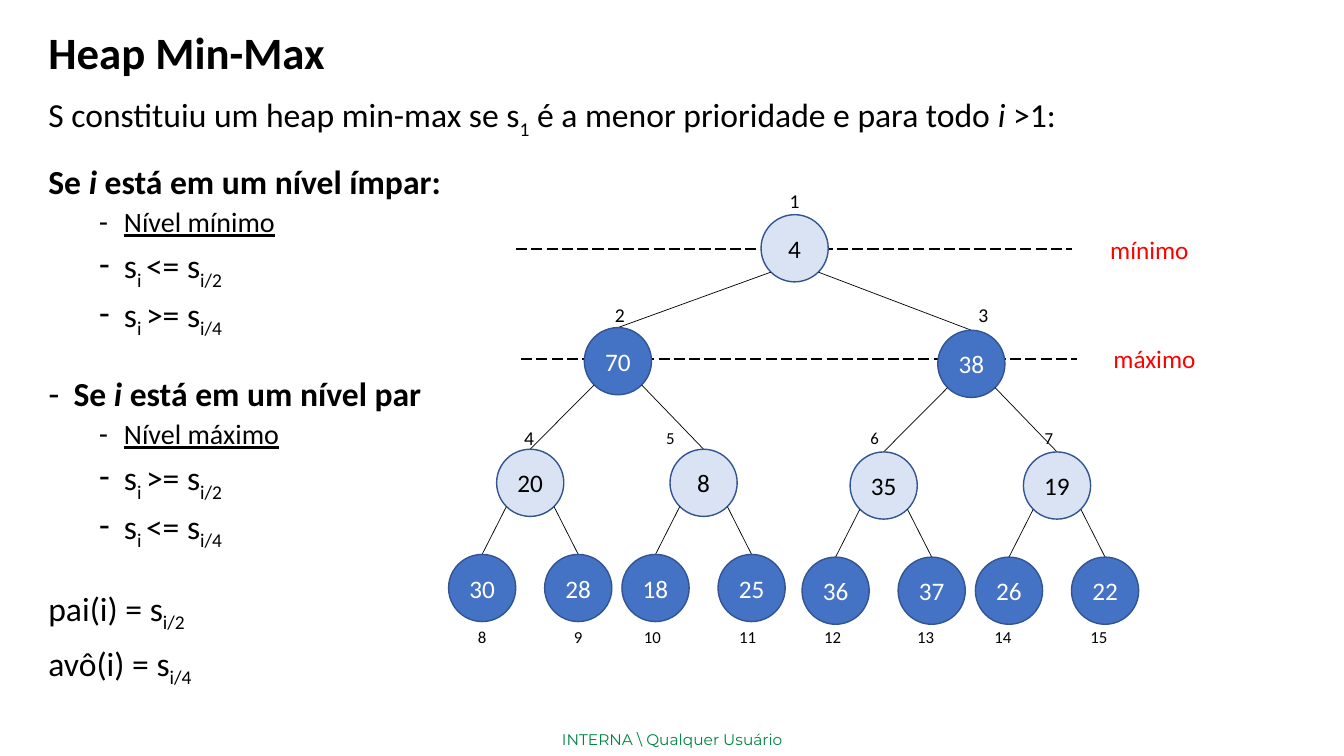
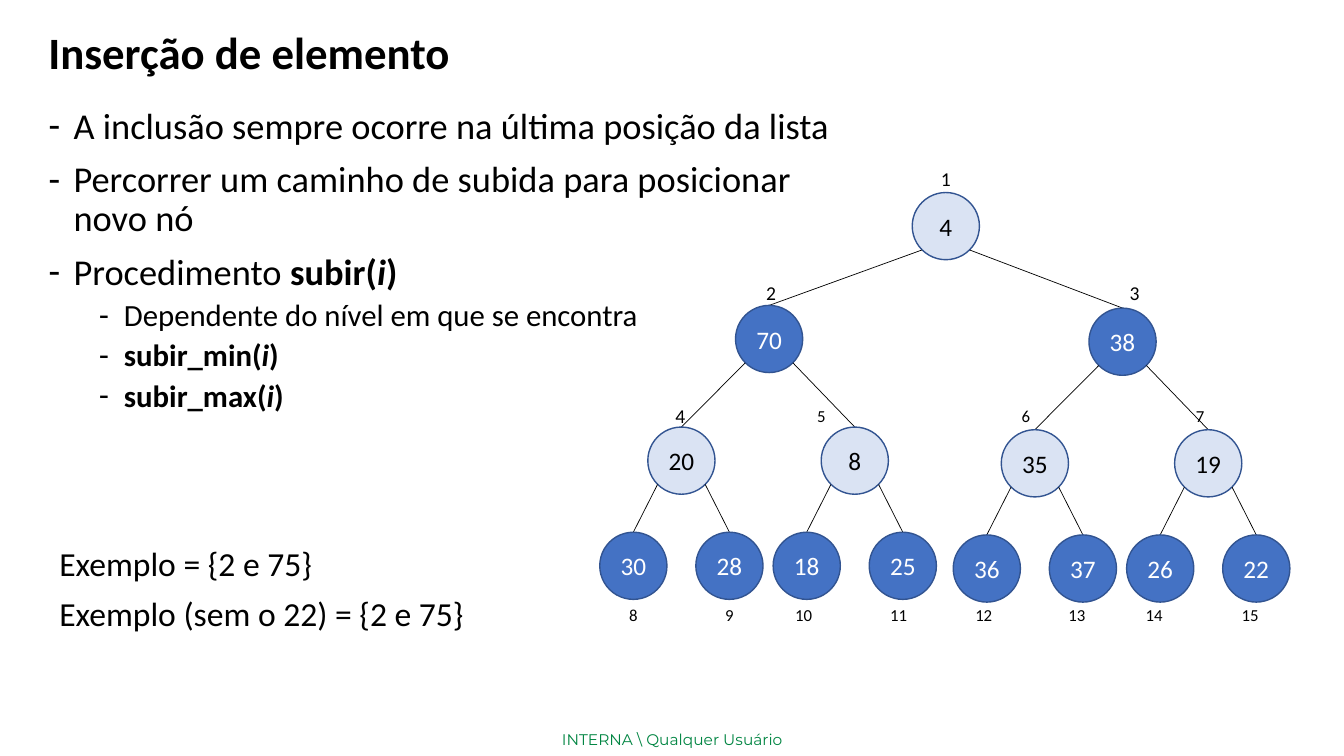
"""Two slides about the min-max heap, laid out on a grid of 40 columns by 22.5 rows."""
import dataclasses

import lxml.etree
import pptx
import pptx.dml.color
import pptx.enum.dml
import pptx.enum.shapes
import pptx.enum.text
import pptx.oxml.ns
import pptx.util

CELL = pptx.util.Emu(304800)
COLUMNS, ROWS = 40, 22.5
ALIGN = pptx.enum.text.PP_ALIGN
ANCHOR = pptx.enum.text.MSO_ANCHOR
DASH = pptx.enum.dml.MSO_LINE.LONG_DASH


@dataclasses.dataclass(frozen=True)
class Theme:
    font: str = "Calibri"
    footer_font: str = "Montserrat"
    ink: str = "000000"
    paper: str = "FFFFFF"
    footer: str = "008542"
    min_fill: str = "DAE3F3"
    max_fill: str = "4472C4"
    outline: str = "325491"
    accent: str = "FF0000"
    title_size: int = 32
    lead_size: int = 26
    text_size: int = 24
    detail_size: int = 22
    note_size: int = 20
    node_size: int = 18
    index_size: int = 14
    small_size: int = 12
    footer_size: int = 11


THEME = Theme()
INDENTS = {"plain": (0, 0, 0), "dash": (0, 0.75, -0.75), "sub": (1, 2.25, -0.75)}
TITLE_AREA = (1.14, 0.78, 37.7, 2.64)
FOOTER_AREA = (15.9, 21.5, 8.22, 1)

NODE_VALUES = (4, 70, 38, 20, 8, 35, 19, 30, 28, 18, 25, 36, 37, 26, 22)
LEVEL_TOPS = (0, 3.36, 6.98, 10.11)
INDEX_CENTRES = (-0.42, 2.99, 6.65, 12.57)
CHILD_SHIFTS = ((-5.26, 5.26), (-2.61, 2.55), (-1.43, 1.43))
INDEX_SHIFTS = (0, 0.06, 0.36, -0.03, -0.99, -0.27, -0.24,
                0, 0, -0.09, -0.12, -0.09, -0.18, -0.18, -0.18)
RIGHT_HALF_DROP = 0.08
RADIUS = 1
DIAGONAL = 0.71


def grid(*cells):
    return [round(CELL * cell) for cell in cells]


def colour(code):
    return pptx.dml.color.RGBColor.from_string(code)


def apply(target, values):
    for name, value in values.items():
        setattr(target, name, value)


def place(box, area):
    apply(box, dict(zip(("left", "top", "width", "height"), grid(*area))))


def setup_frame(frame, anchor=ANCHOR.TOP, inset=None):
    values = {"word_wrap": True, "vertical_anchor": anchor,
              "auto_size": pptx.enum.text.MSO_AUTO_SIZE.NONE}
    if inset is not None:
        sides = ("left", "top", "right", "bottom")
        values.update({f"margin_{side}": inset for side in sides})
    apply(frame, values)


def add_span(para, text, style, size, ink, font=THEME.font):
    """Add a run; style letters are b, i, u and _ for subscript."""
    span = para.add_run()
    span.text = text
    apply(span.font, {"name": font, "size": pptx.util.Pt(size), "bold": "b" in style,
                      "italic": "i" in style, "underline": "u" in style})
    span.font.color.rgb = colour(ink)
    if "_" in style:
        span._r.get_or_add_rPr().set("baseline", "-25000")


def set_bullet(para, kind):
    level, margin, indent = INDENTS[kind]
    para.level = level
    properties = para._p.get_or_add_pPr()
    properties.set("marL", str(grid(margin)[0]))
    properties.set("indent", str(grid(indent)[0]))
    tag = "a:buNone" if kind == "plain" else "a:buChar"
    bullet = lxml.etree.SubElement(properties, pptx.oxml.ns.qn(tag))
    if kind != "plain":
        bullet.set("char", "-")


def fill_text(frame, rows):
    """Write rows of (kind, size, space before, spans)."""
    for number, (kind, size, gap, spans) in enumerate(rows):
        para = frame.add_paragraph() if number else frame.paragraphs[0]
        apply(para, {"alignment": ALIGN.LEFT, "line_spacing": 0.9,
                     "space_before": pptx.util.Pt(gap)})
        set_bullet(para, kind)
        for text, style in spans:
            add_span(para, text, style, size, THEME.ink)


def fill_box(box, area, rows):
    place(box, area)
    setup_frame(box.text_frame)
    fill_text(box.text_frame, rows)


def add_label(page, area, text, size, ink=THEME.ink, font=THEME.font):
    box = page.shapes.add_textbox(*grid(*area))
    setup_frame(box.text_frame, ANCHOR.MIDDLE, 0)
    para = box.text_frame.paragraphs[0]
    para.alignment = ALIGN.CENTER
    add_span(para, text, "", size, ink, font)
    return box


def add_line(page, start, end, width, dash=None):
    straight = pptx.enum.shapes.MSO_CONNECTOR.STRAIGHT
    line = page.shapes.add_connector(straight, *grid(*start, *end))
    line.line.color.rgb = colour(THEME.ink)
    apply(line.line, {"width": pptx.util.Pt(width), "dash_style": dash})
    lxml.etree.SubElement(line.element.spPr, pptx.oxml.ns.qn("a:effectLst"))


def add_node(page, centre, top, value, is_max):
    oval = pptx.enum.shapes.MSO_SHAPE.OVAL
    area = (centre - RADIUS, top, 2 * RADIUS, 2 * RADIUS)
    node = page.shapes.add_shape(oval, *grid(*area))
    node.shadow.inherit = False
    node.fill.solid()
    node.fill.fore_color.rgb = colour(THEME.max_fill if is_max else THEME.min_fill)
    node.line.color.rgb = colour(THEME.outline)
    node.line.width = pptx.util.Pt(1)
    setup_frame(node.text_frame, ANCHOR.MIDDLE, 0)
    para = node.text_frame.paragraphs[0]
    para.alignment = ALIGN.CENTER
    add_span(para, str(value), "", THEME.node_size, THEME.paper if is_max else THEME.ink)


def add_heap(page, root_centre, root_top):
    """Draw the heap; node n has children 2n and 2n + 1."""
    spots = {}
    for index, (value, shift) in enumerate(zip(NODE_VALUES, INDEX_SHIFTS), 1):
        level = index.bit_length() - 1
        centre, top = root_centre, root_top + LEVEL_TOPS[level]
        if level:
            side = index % 2
            parent_centre, parent_top = spots[index // 2]
            centre = parent_centre + CHILD_SHIFTS[level - 1][side]
            top += RIGHT_HALF_DROP * (index >> (level - 1) == 3)
            start = (parent_centre + (DIAGONAL if side else -DIAGONAL),
                     parent_top + RADIUS + DIAGONAL)
            add_line(page, start, (centre, top), 0.5)
        spots[index] = centre, top
        add_node(page, centre, top, value, level % 2 == 1)
        size = THEME.index_size if index <= 4 else THEME.small_size
        area = (centre + shift - 0.75, root_top + INDEX_CENTRES[level] - 0.5, 1.5, 1)
        add_label(page, area, str(index), size)


def add_level_mark(page, left, row, width, text):
    """Draw a dashed level line and the name at its right end."""
    length = 16.55
    add_line(page, (left, row), (left + length, row), 1, DASH)
    add_label(page, (left + length + 0.8, row - 0.6, width, 1.2), text,
              THEME.node_size, THEME.accent)


def add_page(deck, title, body_area, body_rows):
    page = deck.slides.add_slide(deck.slide_layouts[1])
    fill_box(page.shapes.title, TITLE_AREA,
             [("plain", THEME.title_size, 10, [(title, "b")])])
    fill_box(page.placeholders[1], body_area, body_rows)
    return page


def add_layout_footer(layout, page):
    """Build the footer on a page and hand it to the shared layout."""
    box = add_label(page, FOOTER_AREA, "INTERNA \\ Qualquer Usuário",
                    THEME.footer_size, THEME.footer, THEME.footer_font)
    layout.shapes.element.append(box.element)


def level_rows(name, first_sign, second_sign):
    """List the rules of one level: its name and two comparisons."""
    rules = [("sub", THEME.text_size, 5,
              [("s", ""), ("i ", "_"), (f"{sign} s", ""), (f"i/{part}", "_")])
             for sign, part in ((first_sign, 2), (second_sign, 4))]
    return [("sub", THEME.note_size, 5, [(name, "u")])] + rules


def ancestor_row(name, part, gap):
    return ("plain", THEME.text_size, gap, [(f"{name}(i) = s", ""), (f"i/{part}", "_")])


def heap_page(deck):
    size = THEME.text_size
    rows = [
        ("plain", size, 10, [("S constituiu um heap min-max se s", ""), ("1", "_"),
                             (" é a menor prioridade e para todo ", ""),
                             ("i ", "i"), (">1:", "")]),
        ("plain", size, 21, [("Se ", "b"), ("i", "bi"),
                             (" está em um nível ímpar:", "b")]),
        *level_rows("Nível mínimo", "<=", ">="),
        ("dash", size, 30, [("Se ", "b"), ("i", "bi"), (" está em um nível par", "b")]),
        *level_rows("Nível máximo", ">=", "<="),
        ancestor_row("pai", 2, 29),
        ancestor_row("avô", 4, 10),
    ]
    page = add_page(deck, "Heap Min-Max", (1.14, 2.67, 31, 19.38), rows)
    add_level_mark(page, 15.36, 7.41, 3, "mínimo")
    add_level_mark(page, 15.51, 10.68, 3, "máximo")
    add_heap(page, 23.65, 6.39)
    return page


def insertion_page(deck):
    lead, detail = THEME.lead_size, THEME.detail_size
    rows = [
        ("dash", lead, 10, [("A inclusão sempre ocorre na última posição da lista", "")]),
        ("dash", lead, 10,
         [("Percorrer um caminho de subida para posicionar novo nó", "")]),
        ("dash", lead, 10,
         [("Procedimento ", ""), ("subir(", "b"), ("i", "bi"), (")", "b")]),
        ("sub", detail, 5, [("Dependente do nível em que se encontra", "")]),
    ]
    rows += [("sub", detail, 5, [(f"{name}(", "b"), ("i", "bi"), (")", "b")])
             for name in ("subir_min", "subir_max")]
    page = add_page(deck, "Inserção de elemento", (1.14, 3.06, 24.63, 10.44), rows)
    add_heap(page, 28.15, 5.73)
    examples = ("Exemplo = {2 e 75}", "Exemplo (sem o 22) = {2 e 75}")
    area = (1.47, 16.14, 14.85, 4.29)
    fill_box(page.shapes.add_textbox(*grid(*area)), area,
             [("plain", THEME.text_size, 10, [(text, "")]) for text in examples])


def main():
    deck = pptx.Presentation()
    deck.slide_width, deck.slide_height = grid(COLUMNS, ROWS)
    layout = deck.slide_layouts[1]
    for holder in list(layout.placeholders):
        if holder.placeholder_format.idx >= 10:
            layout.shapes.element.remove(holder.element)
    add_layout_footer(layout, heap_page(deck))
    insertion_page(deck)
    deck.save("out.pptx")


if __name__ == "__main__":
    main()
